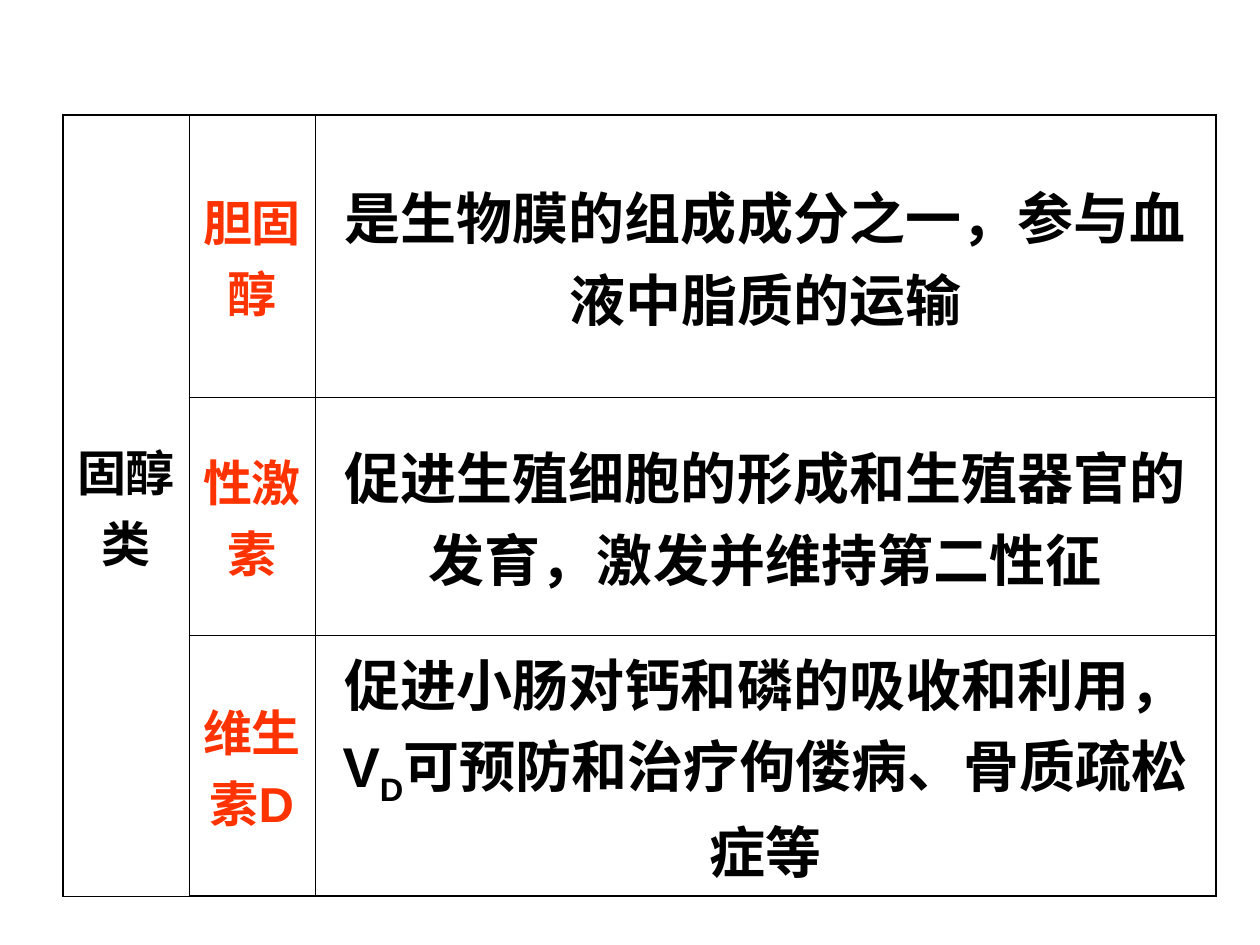
from lxml import etree
from pptx import Presentation
from pptx import util as u
from pptx.dml.color import RGBColor
from pptx.enum import text
from pptx.oxml.ns import qn

PX = 914400 // 126
COLORS = {"ink": "000000", "accent": "FF3300"}
THIN, THICK = 0.45, 1.08
COLUMN_WIDTHS = [126, 126, 901]
ROW_HEIGHTS = [282, 238, 238]
STEROLS = [
    ("胆固醇", [("是生物膜的组成成分之一，参与血液中脂质的运输", False)]),
    ("性激素", [("促进生殖细胞的形成和生殖器官的发育，激发并维持第二性征", False)]),
    ("维生素D", [
        ("促进小肠对钙和磷的吸收和利用，V", False),
        ("D", True),
        ("可预防和治疗佝偻病、骨质疏松症等", False),
    ]),
]


def px(value):
    return u.Emu(value * PX)


def write_text(cell, spans, size=28, color="ink", bold=True, font="Arial"):
    cell.vertical_anchor = text.MSO_ANCHOR.MIDDLE
    para = cell.text_frame.paragraphs[0]
    para.alignment = text.PP_ALIGN.CENTER
    for words, subscript in spans:
        span = para.add_run()
        span.text = words
        span.font.size = u.Pt(size)
        span.font.bold = bold
        span.font.name = font
        span.font.color.rgb = RGBColor.from_string(COLORS[color])
        if subscript:
            span.font._element.set("baseline", "-25000")


def draw_borders(cell, widths):
    properties = cell._tc.get_or_add_tcPr()
    for side, width in widths.items():
        line = etree.SubElement(properties, qn(f"a:ln{side}"), w=str(u.Pt(width)))
        fill = etree.SubElement(line, qn("a:solidFill"))
        etree.SubElement(fill, qn("a:srgbClr"), val=COLORS["ink"])


def style_grid(table):
    last_row, last_column = len(table.rows) - 1, len(table.columns) - 1
    for row in range(last_row + 1):
        for column in range(last_column + 1):
            cell = table.cell(row, column)
            draw_borders(cell, {
                "L": THICK if column == 0 else THIN,
                "R": THICK if column == last_column else THIN,
                "T": THICK if row == 0 else THIN,
                "B": THICK if row == last_row else THIN,
            })
            cell.fill.background()


def add_sterol_table(page):
    frame = page.shapes.add_table(
        len(ROW_HEIGHTS), len(COLUMN_WIDTHS), px(63), px(115),
        px(sum(COLUMN_WIDTHS)), px(sum(ROW_HEIGHTS)))
    table = frame.table
    table.first_row = False
    table.horz_banding = False
    for column, width in zip(table.columns, COLUMN_WIDTHS):
        column.width = px(width)
    for row, height in zip(table.rows, ROW_HEIGHTS):
        row.height = px(height)
    style_grid(table)
    table.cell(0, 0).merge(table.cell(len(ROW_HEIGHTS) - 1, 0))
    write_text(table.cell(0, 0), [("固醇类", False)])
    for row, (name, role) in enumerate(STEROLS):
        write_text(table.cell(row, 1), [(name, False)], color="accent")
        write_text(table.cell(row, 2), role, size=32)


def main():
    deck = Presentation()
    deck.slide_width, deck.slide_height = px(1260), px(945)
    page = deck.slides.add_slide(deck.slide_layouts[6])
    add_sterol_table(page)
    deck.save("out.pptx")


if __name__ == "__main__":
    main()
